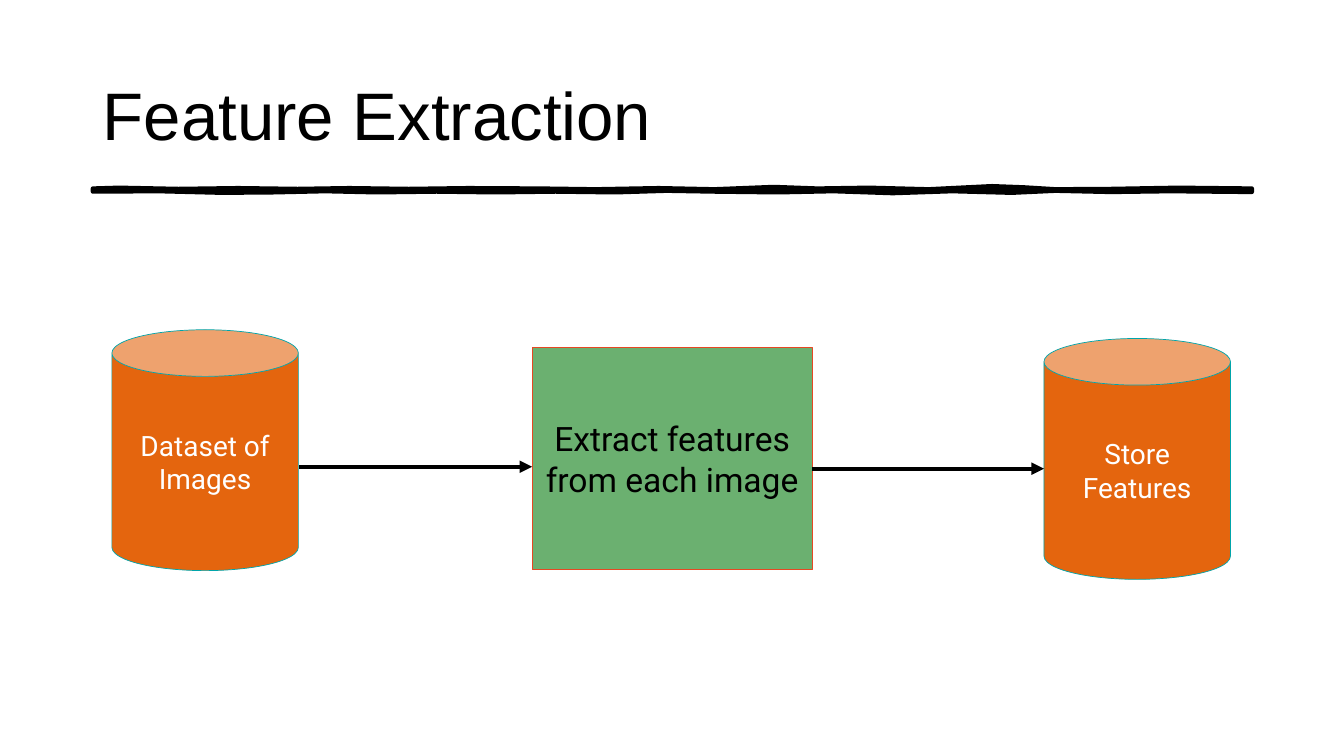
from dataclasses import dataclass

from pptx import Presentation
from pptx.dml.color import RGBColor
from pptx.enum.shapes import MSO_CONNECTOR as Link, MSO_SHAPE as Kind
from pptx.enum.text import MSO_ANCHOR as Anchor, MSO_AUTO_SIZE as Fit, PP_ALIGN as Align
from pptx.oxml.ns import qn
from pptx.slide import Slide
from pptx.text.text import TextFrame
from pptx.util import Cm, Pt
from lxml.etree import SubElement

BLACK = RGBColor(0x00, 0x00, 0x00)
WHITE = RGBColor(0xFF, 0xFF, 0xFF)
ORANGE = RGBColor(0xE4, 0x65, 0x0E)
TEAL = RGBColor(0x00, 0xA5, 0xAB)
GREEN = RGBColor(0x6B, 0xB0, 0x70)
RED = RGBColor(0xE6, 0x48, 0x23)


@dataclass
class Step:
    text: str
    kind: Kind
    box: tuple[float, float, float, float]
    fill: RGBColor
    edge: RGBColor
    ink: RGBColor
    size: int


@dataclass
class Arrow:
    start: float
    end: float
    y: float


CAN = dict(kind=Kind.CAN, fill=ORANGE, edge=TEAL, ink=WHITE, size=20)
STEPS = [
    Step("Dataset of Images", box=(2.82, 8.31, 4.7, 6.07), **CAN),
    Step("Store Features", box=(26.31, 8.53, 4.7, 6.07), **CAN),
    Step("Extract features from each image", Kind.RECTANGLE,
         (13.41, 8.76, 7.06, 5.59), GREEN, RED, BLACK, 24),
]
ARROWS = [Arrow(7.54, 13.41, 11.76), Arrow(20.47, 26.31, 11.81)]

# Upper and lower edges of the hand-drawn rule, left to right
UPPER = [(2.34, 4.75), (3, 4.73), (4.5, 4.76), (6, 4.74), (7.5, 4.76),
         (8.8, 4.74), (10.3, 4.76), (11.8, 4.74), (13.6, 4.75), (15, 4.77),
         (16.6, 4.74), (18, 4.77), (19.5, 4.71), (20.6, 4.75), (21.9, 4.73),
         (23.4, 4.77), (25, 4.69), (25.8, 4.72), (26.6, 4.77), (28, 4.76),
         (29.7, 4.73), (31.55, 4.75)]
LOWER = [(2.34, 4.83), (4, 4.82), (5.6, 4.86), (6.9, 4.85), (8.2, 4.82),
         (9.5, 4.85), (11, 4.83), (12.5, 4.85), (14, 4.83), (15.5, 4.85),
         (16.8, 4.81), (18, 4.83), (19.6, 4.85), (21, 4.82), (22.5, 4.87),
         (24, 4.82), (25.5, 4.86), (26.6, 4.81), (28, 4.84), (29.5, 4.82),
         (31.55, 4.84)]


def write(frame: TextFrame, text: str, align: Align, look: dict) -> None:
    form = dict(word_wrap=True, auto_size=Fit.NONE, vertical_anchor=Anchor.MIDDLE)
    for key, value in form.items():
        setattr(frame, key, value)
    para = frame.paragraphs[0]
    para.alignment = align
    run = para.add_run()
    run.text = text
    run.font.color.rgb = look["ink"]
    for key in ("name", "size"):
        setattr(run.font, key, look[key])


def paint(shape, fill: RGBColor, edge: RGBColor, width: float) -> None:
    shape.shadow.inherit = False
    shape.fill.solid()
    shape.fill.fore_color.rgb = fill
    shape.line.color.rgb = edge
    shape.line.width = Pt(width)


def add_title(slide: Slide, text: str) -> None:
    title = slide.shapes.title
    place = dict(left=2.34, top=1.02, width=29.21, height=3.68)
    for key, value in place.items():
        setattr(title, key, Cm(value))
    write(title.text_frame, text, Align.LEFT,
          dict(name="Arial", size=Pt(48), ink=BLACK))


def add_rule(slide: Slide) -> None:
    first, *rest = [(Cm(x), Cm(y)) for x, y in UPPER + LOWER[::-1]]
    pen = slide.shapes.build_freeform(*first)
    pen.add_line_segments(rest, close=True)
    paint(pen.convert_to_shape(), BLACK, BLACK, 3)


def add_step(slide: Slide, step: Step) -> None:
    shape = slide.shapes.add_shape(step.kind, *map(Cm, step.box))
    paint(shape, step.fill, step.edge, 0.5)
    write(shape.text_frame, step.text, Align.CENTER,
          dict(name="Roboto", size=Pt(step.size), ink=step.ink))


def add_arrow(slide: Slide, arrow: Arrow) -> None:
    y = Cm(arrow.y)
    line = slide.shapes.add_connector(
        Link.STRAIGHT, Cm(arrow.start), y, Cm(arrow.end), y)
    line.line.color.rgb = BLACK
    line.line.width = Pt(3)
    props = line._element.spPr
    SubElement(props.find(qn("a:ln")), qn("a:tailEnd"), type="triangle")
    SubElement(props, qn("a:effectLst"))


def main() -> None:
    deck = Presentation()
    deck.slide_width, deck.slide_height = Cm(33.87), Cm(19.05)
    slide = deck.slides.add_slide(deck.slide_layouts[5])
    add_rule(slide)
    add_title(slide, "Feature Extraction")
    for step in STEPS:
        add_step(slide, step)
    for arrow in ARROWS:
        add_arrow(slide, arrow)
    deck.save("out.pptx")


if __name__ == "__main__":
    main()
